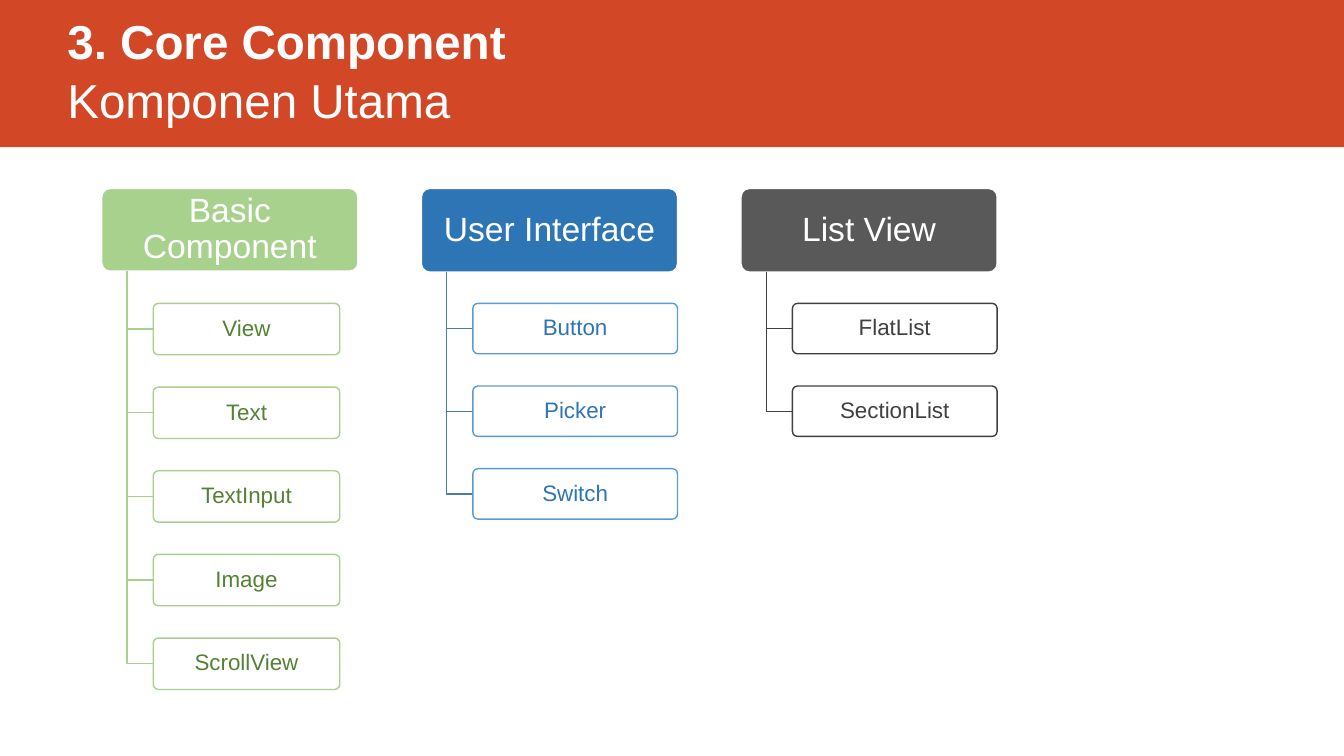
import pptx
import pptx.dml.color
import pptx.enum.shapes
import pptx.enum.text
import pptx.util

SLIDE_W, SLIDE_H = 13.33, 7.5
TOP, HEADER_W, COLUMN_PITCH = 1.87, 2.54, 3.17
FIRST_ITEM_TOP = 3.01
STEM, INDENT = 0.25, 0.51

# heading, items, fill, branch, outline, text, header height, item width, item height, item pitch
COLUMNS = [
    ("Basic Component", ["View", "Text", "TextInput", "Image", "ScrollView"],
     "A9D18E", "A9D18E", "A9D18E", "548235", 0.82, 1.85, 0.51, 0.83),
    ("User Interface", ["Button", "Picker", "Switch"],
     "2E75B6", "497CAB", "5B9BD5", "2E75B6", 0.83, 2.03, 0.5, 0.82),
    ("List View", ["FlatList", "SectionList"],
     "595959", "404040", "404040", "404040", 0.83, 2.03, 0.5, 0.82),
]


def inch(value):
    return pptx.util.Inches(value)


def color(hex_code):
    return pptx.dml.color.RGBColor.from_string(hex_code)


def add_run(p, text, size, hex_code, bold=False):
    r = p.add_run()
    r.text = text
    r.font.name = "Arial"
    r.font.size = pptx.util.Pt(size)
    r.font.bold = bold
    r.font.color.rgb = color(hex_code)


def set_line(sp, hex_code):
    sp.shadow.inherit = False
    sp.line.color.rgb = color(hex_code)
    sp.line.width = pptx.util.Pt(1)


def title_band(s, x, y, w, h):
    band = s.shapes.add_shape(pptx.enum.shapes.MSO_SHAPE.RECTANGLE,
                              inch(x), inch(y), inch(w), inch(h))
    band.shadow.inherit = False
    band.fill.solid()
    band.fill.fore_color.rgb = color("D24726")
    band.line.fill.background()

    sp = s.shapes.add_textbox(inch(x + 0.57), inch(y), inch(11.76), inch(h - 0.14))
    tf = sp.text_frame
    tf.word_wrap = True
    tf.vertical_anchor = pptx.enum.text.MSO_ANCHOR.BOTTOM
    p = tf.paragraphs[0]
    p.line_spacing = 1.04
    add_run(p, "3. Core Component", 34, "FFFFFF", bold=True)
    p.add_line_break()
    add_run(p, "Komponen Utama", 34, "FFFFFF")


def label_box(s, x, y, w, h, text, size, fill, outline, text_color):
    sp = s.shapes.add_shape(pptx.enum.shapes.MSO_SHAPE.ROUNDED_RECTANGLE,
                            inch(x), inch(y), inch(w), inch(h))
    sp.adjustments[0] = 0.1
    sp.fill.solid()
    sp.fill.fore_color.rgb = color(fill)
    set_line(sp, outline)
    tf = sp.text_frame
    tf.word_wrap = True
    tf.vertical_anchor = pptx.enum.text.MSO_ANCHOR.MIDDLE
    tf.margin_left = tf.margin_right = inch(0.06)
    tf.margin_top = tf.margin_bottom = inch(0.04)
    p = tf.paragraphs[0]
    p.alignment = pptx.enum.text.PP_ALIGN.CENTER
    p.line_spacing = 0.9
    add_run(p, text, size, text_color)


def branch(s, x, top, right, bottom, hex_code):
    """Draw an elbow down from the heading and across to an item."""
    builder = s.shapes.build_freeform(inch(x), inch(top))
    builder.add_line_segments([(inch(x), inch(bottom)), (inch(right), inch(bottom))],
                              close=False)
    sp = builder.convert_to_shape()
    sp.fill.background()
    set_line(sp, hex_code)


def component_column(s, x, y, w, column):
    (heading, items, fill, branch_color, outline, text_color,
     header_h, item_w, item_h, pitch) = column
    label_box(s, x, y, w, header_h, heading, 24, fill, "FFFFFF", "FFFFFF")
    for i, item in enumerate(items):
        item_top = FIRST_ITEM_TOP + i * pitch
        branch(s, x + STEM, y + header_h, x + INDENT, item_top + item_h / 2, branch_color)
        label_box(s, x + INDENT, item_top, item_w, item_h, item, 16,
                  "FFFFFF", outline, text_color)


def main():
    prs = pptx.Presentation()
    prs.slide_width, prs.slide_height = inch(SLIDE_W), inch(SLIDE_H)
    s = prs.slides.add_slide(prs.slide_layouts[6])
    title_band(s, 0, 0, SLIDE_W, 1.46)
    for i, column in enumerate(COLUMNS):
        component_column(s, 1.01 + i * COLUMN_PITCH, TOP, HEADER_W, column)
    prs.save("out.pptx")


if __name__ == "__main__":
    main()
